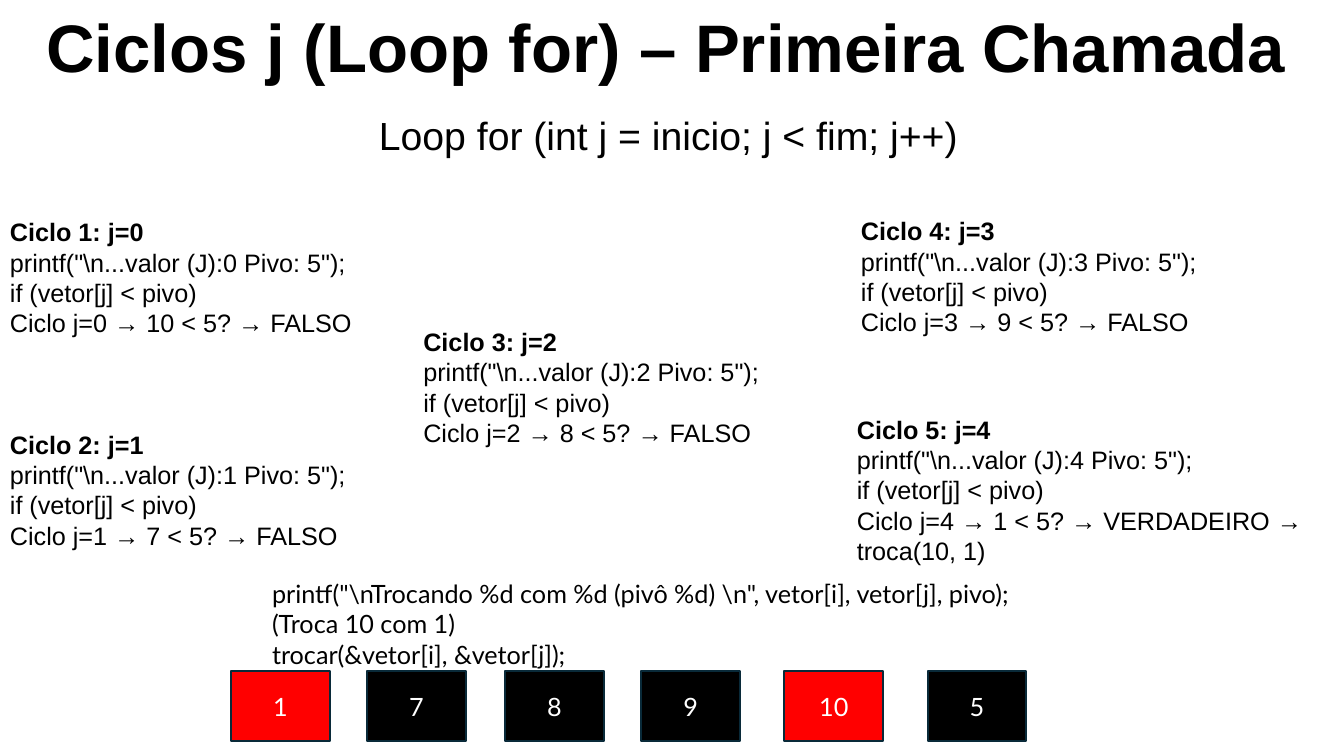
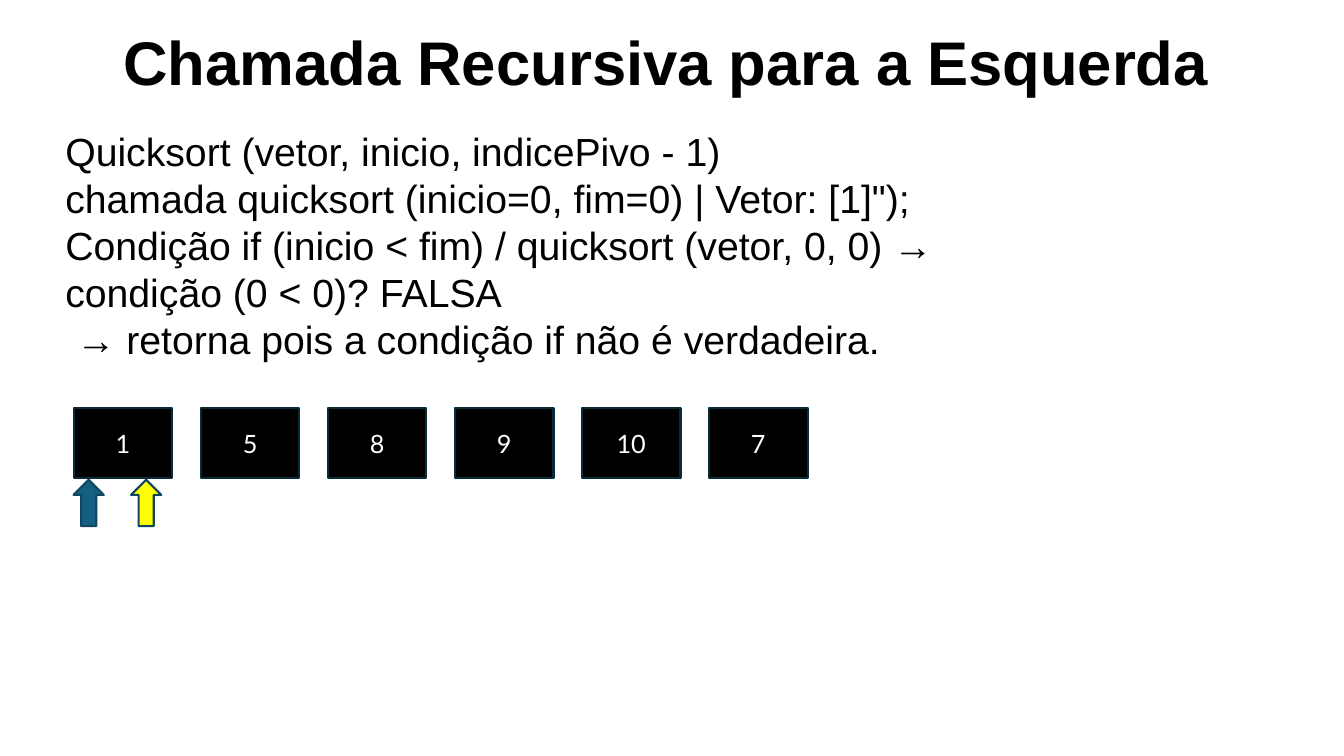
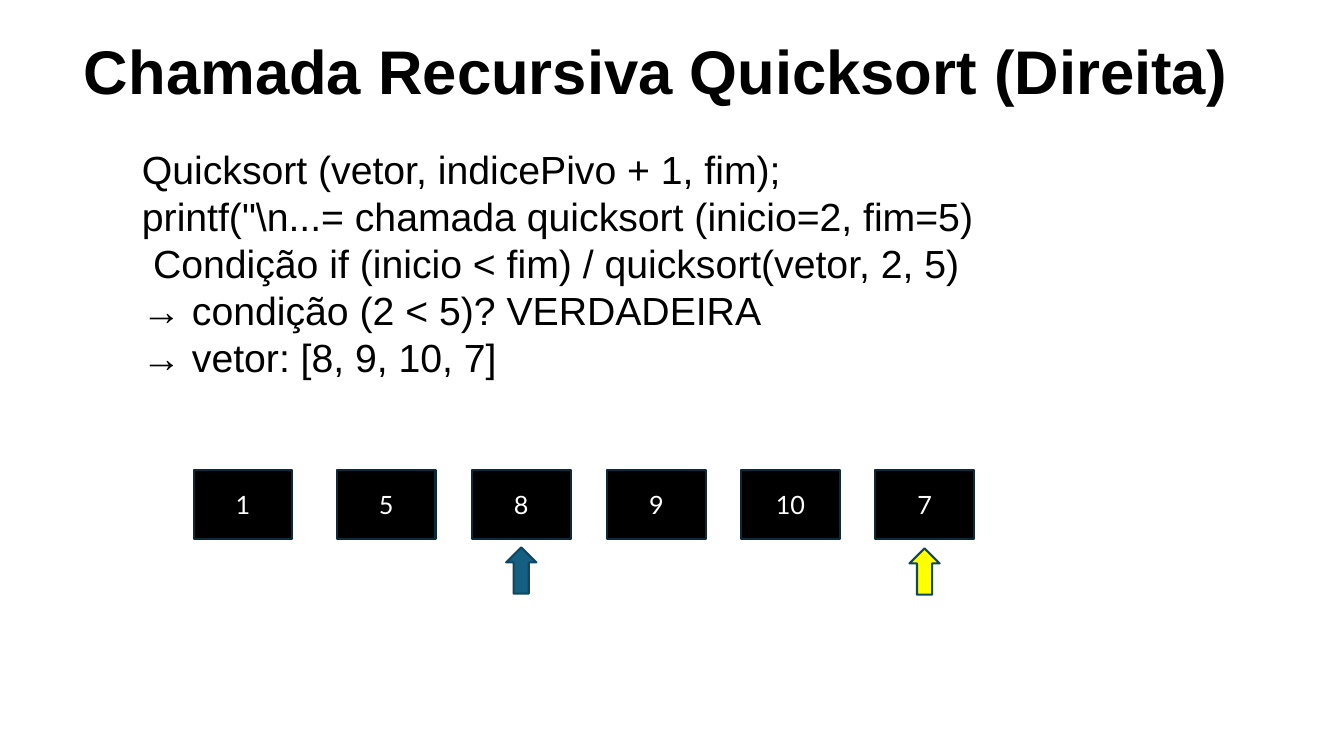
from pptx import Presentation
from pptx.dml.color import RGBColor
from pptx.enum.shapes import MSO_SHAPE
from pptx.enum.text import MSO_ANCHOR, MSO_AUTO_SIZE, PP_ALIGN
from pptx.util import Inches, Pt

RECT, ARROW = MSO_SHAPE.RECTANGLE, MSO_SHAPE.UP_ARROW
TOP, MIDDLE = MSO_ANCHOR.TOP, MSO_ANCHOR.MIDDLE
LEFT, CENTER = PP_ALIGN.LEFT, PP_ALIGN.CENTER
FIXED = MSO_AUTO_SIZE.NONE

BLACK = RGBColor(0x00, 0x00, 0x00)
WHITE = RGBColor(0xFF, 0xFF, 0xFF)
RED = RGBColor(0xFF, 0x00, 0x00)
YELLOW = RGBColor(0xFF, 0xFF, 0x00)
BLUE = RGBColor(0x15, 0x60, 0x82)
NAVY = RGBColor(0x09, 0x2A, 0x39)
TEAL = RGBColor(0x10, 0x47, 0x60)

CELL = (0.98, 0.69)
MARK = (0.3, 0.46)


def write(shape, text, size=18, font="Arial", color=BLACK, bold=(),
          align=LEFT, anchor=TOP, inset=()):
    """Fill a shape with lines; bold and inset hold line numbers."""
    frame = shape.text_frame
    frame.word_wrap = True
    frame.auto_size = FIXED
    frame.vertical_anchor = anchor
    for i, line in enumerate(text.split("\n")):
        para = frame.paragraphs[0] if i == 0 else frame.add_paragraph()
        para.alignment = align
        if i in inset:
            para._p.get_or_add_pPr().set("marL", str(Inches(0.11)))
        run = para.add_run()
        run.text = line
        run.font.size = Pt(size)
        run.font.name = font
        run.font.bold = i in bold
        run.font.color.rgb = color


def draw(slide, kind, left, top, size, fill, line):
    shape = slide.shapes.add_shape(
        kind, Inches(left), Inches(top), *map(Inches, size))
    shape.shadow.inherit = False
    shape.fill.solid()
    shape.fill.fore_color.rgb = fill
    shape.line.color.rgb = line
    shape.line.width = Pt(1.5)
    return shape


deck = Presentation()
deck.slide_width, deck.slide_height = Inches(13.33), Inches(7.5)

# Per slide: title, its place and size, cell values, cell lefts, cell top,
# red cells, arrows as (left, top, fill)
PAGES = [
    ("Ciclos j (Loop for) – Primeira Chamada", (0, 0, 13.22, 0.91), 48,
     (1, 7, 8, 9, 10, 5), (2.29, 3.64, 5.01, 6.36, 7.78, 9.2), 6.66,
     (1, 10), ()),
    ("Chamada Recursiva para a Esquerda", (0.29, 0.19, 12.64, 0.84), 44,
     (1, 5, 8, 9, 10, 7), [0.73 + 1.26 * i for i in range(6)], 4.05,
     (), ((0.73, 4.76, BLUE), (1.3, 4.76, YELLOW))),
    ("Chamada Recursiva Quicksort (Direita)", (0, 0.28, 13.02, 0.84), 44,
     (1, 5, 8, 9, 10, 7), (1.92, 3.34, 4.68, 6.02, 7.35, 8.68), 4.66,
     (), ((5.02, 5.43, BLUE), (9.02, 5.44, YELLOW))),
]
slides = []
for name, place, size, nums, lefts, top, reds, marks in PAGES:
    slide = deck.slides.add_slide(deck.slide_layouts[5])
    slides.append(slide)
    title = slide.shapes.title
    title.left, title.top, title.width, title.height = map(Inches, place)
    write(title, name, size=size, bold=(0,), align=CENTER)
    for num, left in zip(nums, lefts):
        fill = RED if num in reds else BLACK
        cell = draw(slide, RECT, left, top, CELL, fill, NAVY)
        write(cell, str(num), font="Lato", color=WHITE, align=CENTER,
              anchor=MIDDLE)
    for left, high, fill in marks:
        draw(slide, ARROW, left, high, MARK, fill, TEAL)

# Text blocks: slide number, place, text, format
NOTES = [
    (0, (3.66, 1.05, 6.7, 0.88), "Loop for (int j = inicio; j < fim; j++)",
     {"size": 28}),
    (0, (2.6, 5.69, 7.6, 1.31),
     'printf("\\nTrocando %d com %d (pivô %d) \\n", vetor[i], vetor[j], '
     "pivo); (Troca 10 com 1)\n"
     "trocar(&vetor[i], &vetor[j]);", {"font": "Lato"}),
    (1, (0.55, 1.21, 10, 2.76),
     "Quicksort (vetor, inicio, indicePivo - 1)\n"
     'chamada quicksort (inicio=0, fim=0) | Vetor: [1]");\n'
     "Condição if (inicio < fim) / quicksort (vetor, 0, 0) → "
     "condição (0 < 0)? FALSA\n"
     "→ retorna pois a condição if não é verdadeira.",
     {"size": 28, "inset": (3,)}),
    (2, (1.31, 1.39, 11.23, 3.06),
     "Quicksort (vetor, indicePivo + 1, fim);\n"
     'printf("\\n...= chamada quicksort (inicio=2, fim=5)\n'
     "Condição if (inicio < fim) / quicksort(vetor, 2, 5)\n"
     "→ condição (2 < 5)? VERDADEIRA\n"
     "→ vetor: [8, 9, 10, 7]", {"size": 28, "inset": (2,)}),
]
# Loop cycles: left, top, value compared, result
CYCLES = [
    (0, 2.1, 10, "FALSO"),
    (0, 4.21, 7, "FALSO"),
    (4.1, 3.19, 8, "FALSO"),
    (8.44, 2.09, 9, "FALSO"),
    (8.4, 4.06, 1, "VERDADEIRO → troca(10, 1)"),
]
for j, (left, top, num, end) in enumerate(CYCLES):
    text = (f"Ciclo {j + 1}: j={j}\n"
            f'printf("\\n...valor (J):{j} Pivo: 5");\n'
            "if (vetor[j] < pivo)\n"
            f"Ciclo j={j} → {num} < 5? → {end}")
    NOTES.append((0, (left, top, 4.79, 1.62), text, {"bold": (0,)}))

for page, place, text, form in NOTES:
    box = slides[page].shapes.add_textbox(*map(Inches, place))
    write(box, text, **form)

deck.save("out.pptx")
